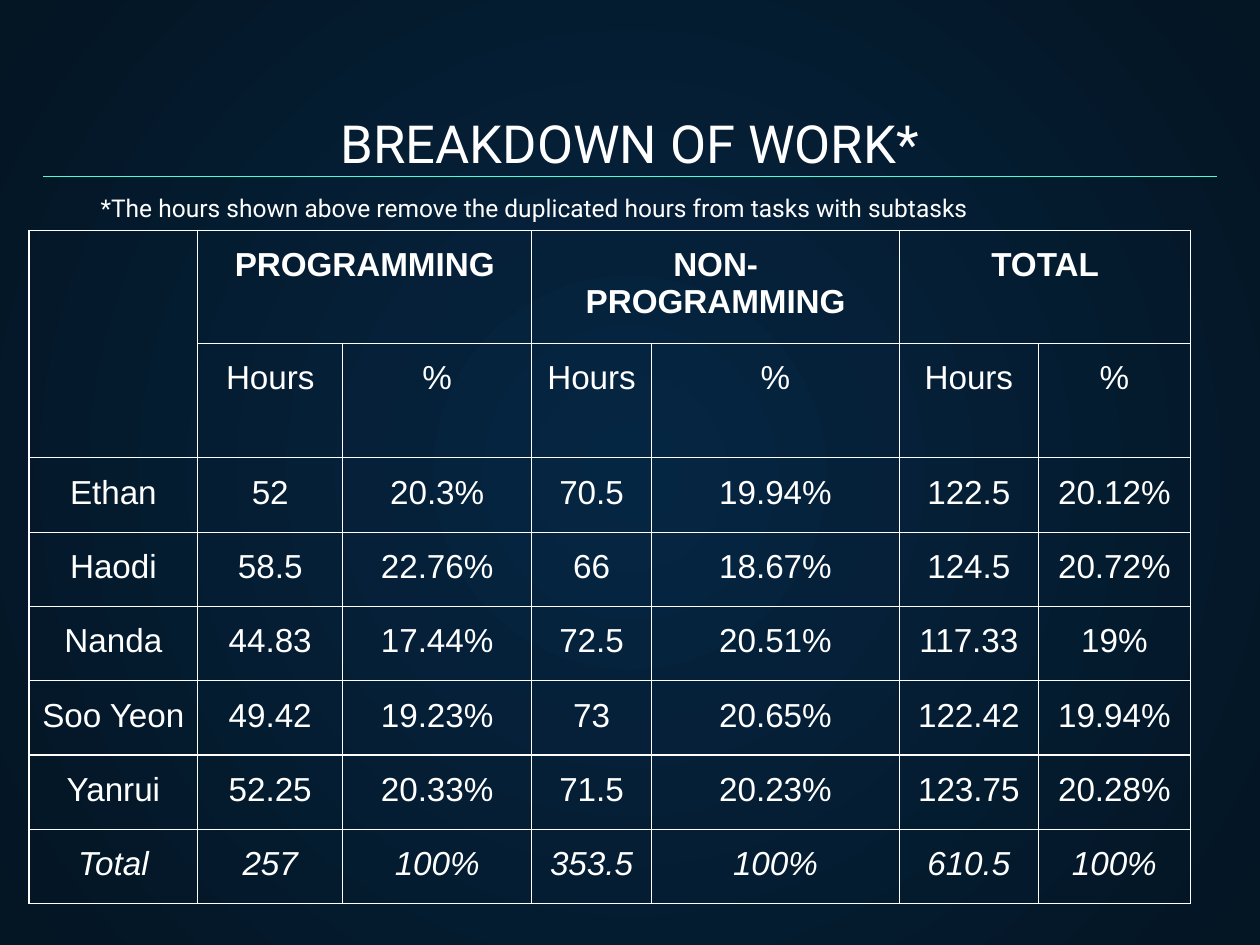
from lxml.etree import SubElement
from pptx import Presentation
from pptx.dml.color import RGBColor
from pptx.enum.shapes import MSO_CONNECTOR
from pptx.enum.text import MSO_ANCHOR, PP_ALIGN
from pptx.oxml import parse_xml
from pptx.oxml.ns import nsdecls, qn
from pptx.util import Inches, Pt

WHITE = "FFFFFF"


def tint(color, value):
    color.rgb = RGBColor.from_string(value)


def style(para, face, size, align):
    para.alignment = align
    para.font.name = face
    para.font.size = Pt(size)
    tint(para.font.color, WHITE)


deck = Presentation()
deck.slide_width, deck.slide_height = Inches(10), Inches(7.5)
wide, high = deck.slide_width, deck.slide_height
slide = deck.slides.add_slide(deck.slide_layouts[0])

back = slide.background.fill
back.gradient()
for stop, value, place in zip(back.gradient_stops, ("052643", "041523"), (0, 1)):
    tint(stop.color, value)
    stop.position = place
grad = slide.background._cSld.find(".//" + qn("a:gradFill"))
grad.replace(grad.find(qn("a:lin")), parse_xml(
    f'<a:path {nsdecls("a")} path="circle">'
    '<a:fillToRect l="50000" t="50000" r="50000" b="50000"/></a:path>'))

edge = int(wide * 0.034)
span = wide - 2 * edge
title, sub = slide.placeholders
sub.element.getparent().remove(sub.element)
title.left, title.top = edge, int(high * 0.081)
title.width, title.height = span, int(high * 0.117)
note = slide.shapes.add_textbox(
    int(wide * 0.07), int(high * 0.191), int(wide * 0.86), int(high * 0.05))
texts = (
    (title, "BREAKDOWN OF WORK*", 30, PP_ALIGN.CENTER, MSO_ANCHOR.BOTTOM),
    (note, "*The hours shown above remove the duplicated hours from tasks with subtasks",
     14, PP_ALIGN.LEFT, MSO_ANCHOR.TOP),
)
for shape, text, size, align, anchor in texts:
    frame = shape.text_frame
    frame.text = text
    frame.word_wrap = True
    frame.vertical_anchor = anchor
    frame.margin_left = frame.margin_right = Inches(0.1)
    frame.margin_top = frame.margin_bottom = Inches(0.1)
    style(frame.paragraphs[0], "Roboto", size, align)

level = int(high * 0.187)
rule = slide.shapes.add_connector(
    MSO_CONNECTOR.STRAIGHT, edge, level, wide - edge, level)
tint(rule.line.color, "48FFD5")
rule.line.width = Pt(0.75)
SubElement(rule._element.spPr, qn("a:effectLst"))

rows = [
    ["", "PROGRAMMING", "", "NON-PROGRAMMING", "", "TOTAL", ""],
    [""] + ["Hours", "%"] * 3,
    ["Ethan", "52", "20.3%", "70.5", "19.94%", "122.5", "20.12%"],
    ["Haodi", "58.5", "22.76%", "66", "18.67%", "124.5", "20.72%"],
    ["Nanda", "44.83", "17.44%", "72.5", "20.51%", "117.33", "19%"],
    ["Soo Yeon", "49.42", "19.23%", "73", "20.65%", "122.42", "19.94%"],
    ["Yanrui", "52.25", "20.33%", "71.5", "20.23%", "123.75", "20.28%"],
    ["Total", "257", "100%", "353.5", "100%", "610.5", "100%"],
]
widths = [1.34, 1.15, 1.5, 0.95, 1.97, 1.1, 1.21]
heights = [0.58, 0.91] + [0.59] * 6
table = slide.shapes.add_table(
    len(rows), len(widths), Inches(0.23), Inches(1.83),
    Inches(sum(widths)), Inches(sum(heights))).table
table.first_row = table.horz_banding = False
for col, width in zip(table.columns, widths):
    col.width = Inches(width)
for row, height in zip(table.rows, heights):
    row.height = Inches(height)

table.cell(0, 0).merge(table.cell(1, 0))
for left in (1, 3, 5):
    table.cell(0, left).merge(table.cell(0, left + 1))

for r, row in enumerate(rows):
    for c, text in enumerate(row):
        cell = table.cell(r, c)
        cell.text = text
        cell.margin_left = cell.margin_right = Inches(0.1)
        cell.margin_top = cell.margin_bottom = Inches(0.13)
        para = cell.text_frame.paragraphs[0]
        style(para, "Arial", 19, PP_ALIGN.CENTER)
        para.font.bold = r == 0
        para.font.italic = r == len(rows) - 1
        props = cell._tc.get_or_add_tcPr()
        for side in "LRTB":
            props.append(parse_xml(
                f'<a:ln{side} {nsdecls("a")} w="{Pt(0.75)}"><a:solidFill>'
                f'<a:srgbClr val="{WHITE}"/></a:solidFill></a:ln{side}>'))
        cell.fill.background()

deck.save("out.pptx")
